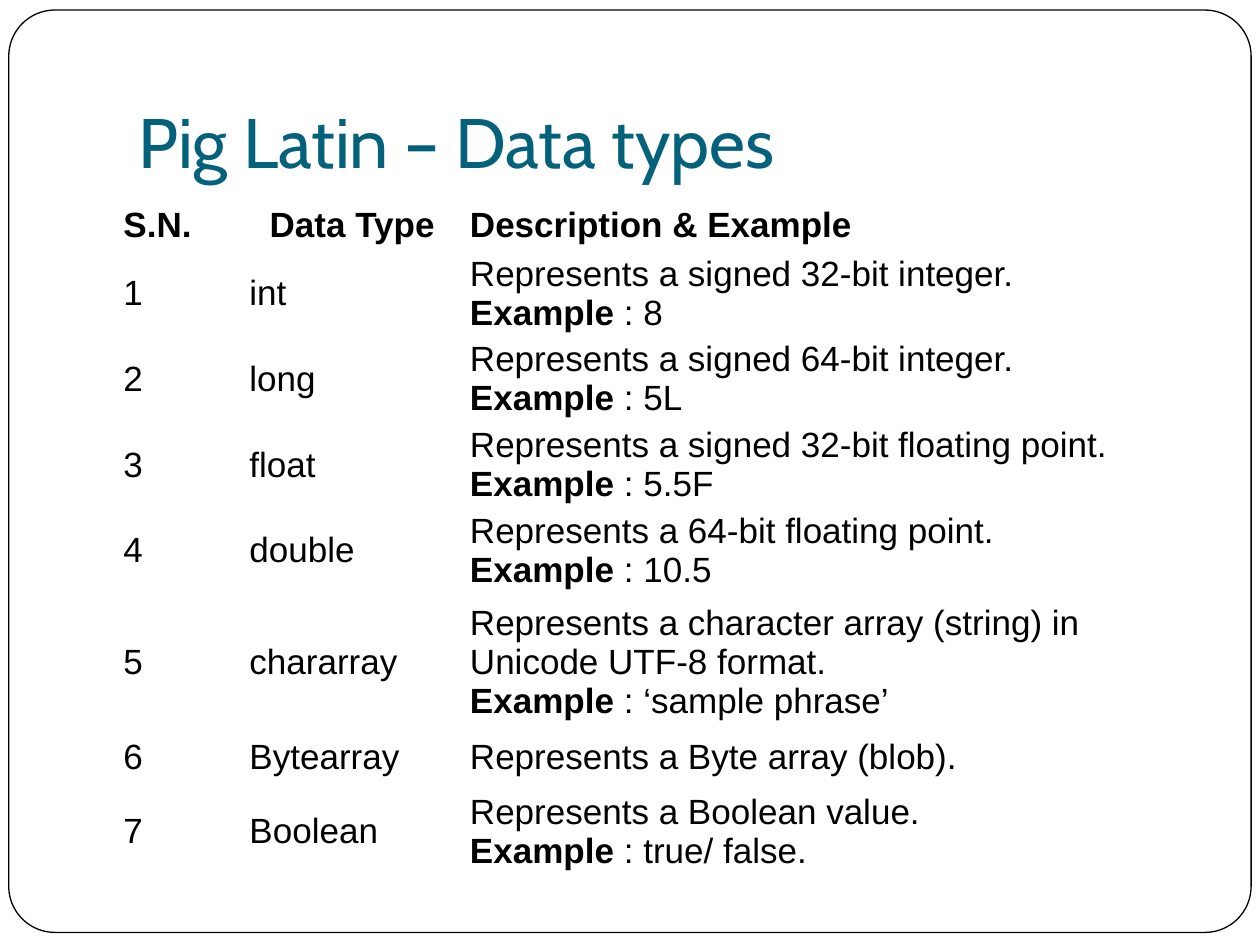
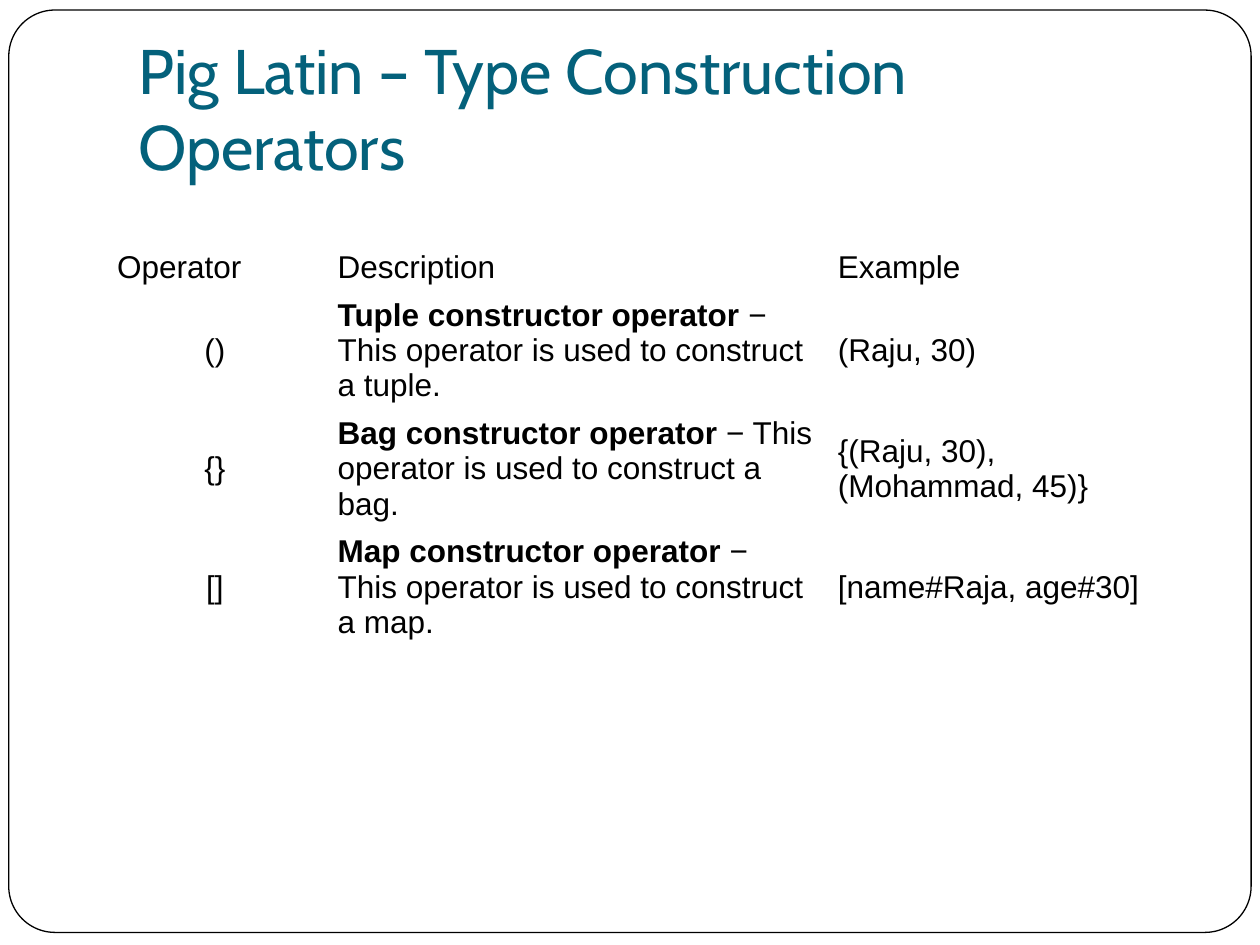
from dataclasses import dataclass

from pptx import Presentation
from pptx.dml.color import RGBColor
from pptx.enum.shapes import MSO_SHAPE
from pptx.enum.text import MSO_ANCHOR, MSO_AUTO_SIZE, PP_ALIGN
from pptx.util import Inches, Pt

GRID_COLUMNS, GRID_ROWS = 100, 75
TITLE_ONLY = 5


@dataclass(frozen=True)
class Theme:
    paper: RGBColor = RGBColor(0xFF, 0xFF, 0xFF)
    ink: RGBColor = RGBColor(0x00, 0x00, 0x00)
    title: RGBColor = RGBColor(0x04, 0x61, 0x7B)
    title_font: str = "Cabin"
    body_font: str = "Arial"
    title_size: int = 40
    long_title_size: int = 36
    types_size: int = 20
    operators_size: int = 18
    frame_line: float = 0.75
    frame_corner: float = 0.05


class SlideBuilder:
    def __init__(self, deck, theme):
        self.deck = deck
        self.theme = theme
        self.page = None

    def across(self, columns):
        return round(self.deck.slide_width * columns / GRID_COLUMNS)

    def down(self, rows):
        return round(self.deck.slide_height * rows / GRID_ROWS)

    def area(self, left, top, width, height):
        return self.across(left), self.down(top), self.across(width), self.down(height)

    def add_page(self, title, title_size):
        layout = self.deck.slide_layouts[TITLE_ONLY]
        self.page = self.deck.slides.add_slide(layout)
        self.add_frame()
        self.set_title(title, title_size)

    def add_frame(self):
        """Draw the rounded page border behind the title."""
        frame = self.page.shapes.add_shape(
            MSO_SHAPE.ROUNDED_RECTANGLE, *self.area(0.7, 0.8, 98.6, 73.2))
        frame.adjustments[0] = self.theme.frame_corner
        frame.shadow.inherit = False
        frame.fill.solid()
        frame.fill.fore_color.rgb = self.theme.paper
        frame.line.color.rgb = self.theme.ink
        frame.line.width = Pt(self.theme.frame_line)
        self.page.shapes.title.element.addprevious(frame.element)

    def set_title(self, text, size):
        box = self.page.shapes.title
        box.left, box.top, box.width, box.height = self.area(10, 3, 85, 12.5)
        frame = box.text_frame
        frame.auto_size = MSO_AUTO_SIZE.NONE
        frame.word_wrap = True
        frame.vertical_anchor = MSO_ANCHOR.BOTTOM
        frame.margin_left = frame.margin_right = frame.margin_bottom = Inches(0.1)
        frame.margin_top = Inches(0.05)
        para = frame.paragraphs[0]
        para.alignment = PP_ALIGN.LEFT
        self.add_span(para, text, self.theme.title_font, size, self.theme.title)

    def add_span(self, para, text, font, size, color, bold=False):
        span = para.add_run()
        span.text = text
        span.font.name = font
        span.font.size = Pt(size)
        span.font.bold = bold
        span.font.color.rgb = color

    def add_table(self, left, top, widths, heights, cells, size, margins, centred):
        """Add a plain table; centred holds the (row, column) pairs to centre."""
        shape = self.page.shapes.add_table(
            len(cells), len(widths), *self.area(left, top, sum(widths), sum(heights)))
        table = shape.table
        table.first_row = table.horz_banding = False
        for column, width in zip(table.columns, widths):
            column.width = self.across(width)
        for row, height in zip(table.rows, heights):
            row.height = self.down(height)
        for row, texts in enumerate(cells):
            for column, text in enumerate(texts):
                align = PP_ALIGN.CENTER if (row, column) in centred else PP_ALIGN.LEFT
                self.fill_cell(table.cell(row, column), text, size, margins, align)

    def fill_cell(self, cell, text, size, margins, align):
        """Write one paragraph per line; text between ** marks is bold."""
        cell.fill.background()
        cell.vertical_anchor = MSO_ANCHOR.MIDDLE
        side, edge = margins
        cell.margin_left = cell.margin_right = Inches(side)
        cell.margin_top = cell.margin_bottom = Inches(edge)
        frame = cell.text_frame
        for index, line in enumerate(text.split("\n")):
            para = frame.add_paragraph() if index else frame.paragraphs[0]
            para.alignment = align
            for part, words in enumerate(line.split("**")):
                if words:
                    self.add_span(para, words, self.theme.body_font, size,
                                  self.theme.ink, bold=part % 2 == 1)


DATA_TYPES = [
    ("int", "Represents a signed 32-bit integer.", "8"),
    ("long", "Represents a signed 64-bit integer.", "5L"),
    ("float", "Represents a signed 32-bit floating point.", "5.5F"),
    ("double", "Represents a 64-bit floating point.", "10.5"),
    ("chararray", "Represents a character array (string) in Unicode UTF-8 format.",
     "‘sample phrase’"),
    ("Bytearray", "Represents a Byte array (blob).", None),
    ("Boolean", "Represents a Boolean value.", "true/ false."),
]

OPERATORS = [
    ("()", "Tuple", "(Raju, 30)"),
    ("{}", "Bag", "{(Raju, 30), (Mohammad, 45)}"),
    ("[]", "Map", "[name#Raja, age#30]"),
]


def build_data_types(builder):
    theme = builder.theme
    builder.add_page("Pig Latin – Data types", theme.title_size)
    cells = [("**S.N.**", "**Data Type**", "**Description & Example**")]
    for number, (name, description, example) in enumerate(DATA_TYPES, start=1):
        if example:
            description += f"\n**Example** : {example}"
        cells.append((str(number), name, description))
    builder.add_table(
        9.2, 15.8, widths=[10, 17.5, 59.2],
        heights=[4.1] + [5.8] * 4 + [11, 4.1, 7.6], cells=cells,
        size=theme.types_size, margins=(0.06, 0.03), centred={(0, 1)})


def build_operators(builder):
    theme = builder.theme
    builder.add_page("Pig Latin – Type Construction Operators", theme.long_title_size)
    cells = [("Operator", "Description", "Example")]
    for symbol, name, example in OPERATORS:
        description = (f"**{name} constructor operator** − This operator is used "
                       f"to construct a {name.lower()}.")
        cells.append((symbol, description, example))
    builder.add_table(
        8.3, 19.3, widths=[17.5, 39.7, 28.6], heights=[2.5] * len(cells), cells=cells,
        size=theme.operators_size, margins=(0.1, 0.05),
        centred={(row, 0) for row in range(1, len(cells))})


def main():
    deck = Presentation()
    deck.slide_width, deck.slide_height = Inches(10), Inches(7.5)
    builder = SlideBuilder(deck, Theme())
    build_data_types(builder)
    build_operators(builder)
    deck.save("out.pptx")


if __name__ == "__main__":
    main()
